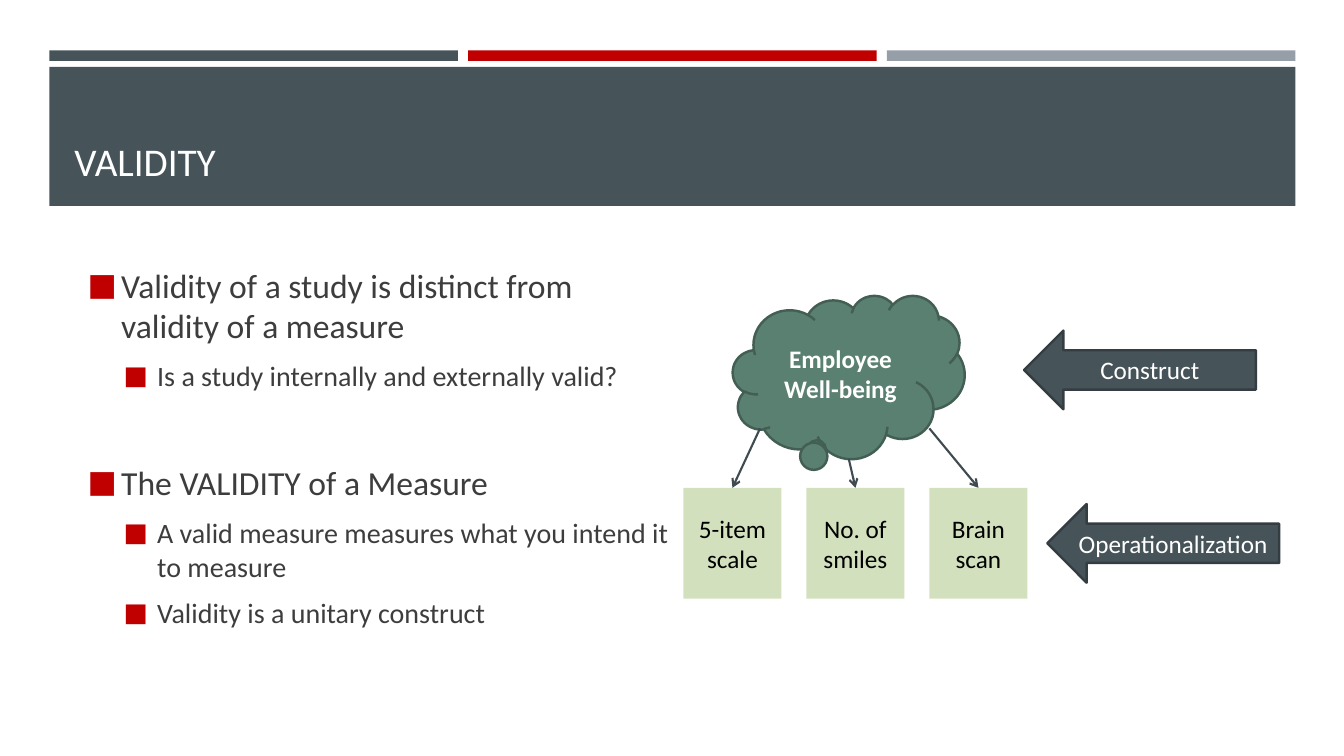
from typing import NamedTuple

from lxml import etree
from pptx import Presentation
from pptx.dml.color import RGBColor
from pptx.enum.shapes import MSO_CONNECTOR, MSO_SHAPE
from pptx.enum.text import MSO_ANCHOR, PP_ALIGN
from pptx.oxml.ns import qn
from pptx.util import Inches, Pt

RECT, CLOUD, LEFT_ARROW = MSO_SHAPE.RECTANGLE, MSO_SHAPE.CLOUD_CALLOUT, MSO_SHAPE.LEFT_ARROW
STRAIGHT = MSO_CONNECTOR.STRAIGHT
CENTER, LEFT = PP_ALIGN.CENTER, PP_ALIGN.LEFT
MIDDLE, BOTTOM = MSO_ANCHOR.MIDDLE, MSO_ANCHOR.BOTTOM

FONT = "Calibri"
SLATE, RED, GREY = "465359", "C00000", "969FA7"
WHITE, BLACK, BODY_TEXT = "FFFFFF", "000000", "3D3D3D"
GREEN, GREEN_EDGE, PALE_GREEN = "5A8071", "435F54", "A9C37C"
ARROW_EDGE, LINK = "343D42", "3F4B50"

prs = Presentation()
prs.slide_width, prs.slide_height = Inches(13.333), Inches(7.5)
slide = prs.slides.add_slide(prs.slide_layouts[6])


class Box(NamedTuple):
    """Left, top, width and height in percent of the slide."""
    x: float
    y: float
    w: float
    h: float


class Block(NamedTuple):
    kind: int
    box: Box
    fill: str
    text: str = ""
    color: str = WHITE
    bold: bool = False
    edge: str = ""
    alpha: int = 100


class Bullet(NamedTuple):
    text: str
    level: int = 0
    before: float = 3.4


class Link(NamedTuple):
    x: float
    y: float


def px(share: float) -> int:
    return round(prs.slide_width * share / 100)


def py(share: float) -> int:
    return round(prs.slide_height * share / 100)


def place(box: Box) -> tuple[int, int, int, int]:
    return px(box.x), py(box.y), px(box.w), py(box.h)


def rgb(color: str) -> RGBColor:
    return RGBColor.from_string(color)


def style(p, size: float, color: str, bold: bool = False, align=LEFT) -> None:
    p.alignment = align
    for r in p.runs:
        r.font.name, r.font.size, r.font.bold = FONT, Pt(size), bold
        r.font.color.rgb = rgb(color)


def add_block(block: Block):
    sp = slide.shapes.add_shape(block.kind, *place(block.box))
    sp.shadow.inherit = False
    sp.fill.solid()
    sp.fill.fore_color.rgb = rgb(block.fill)
    if block.alpha < 100:
        color = sp.fill._xPr.find(f"{qn('a:solidFill')}/{qn('a:srgbClr')}")
        etree.SubElement(color, qn("a:alpha"), val=str(block.alpha * 1000))
    if block.edge:
        sp.line.color.rgb = rgb(block.edge)
        sp.line.width = Pt(1.75)
    else:
        sp.line.fill.background()
    if block.text:
        tf = sp.text_frame
        tf.text = block.text
        tf.vertical_anchor = MIDDLE
        style(tf.paragraphs[0], 18, block.color, block.bold, CENTER)
    return sp


def add_text_frame(box: Box, anchor):
    tf = slide.shapes.add_textbox(*place(box)).text_frame
    tf.word_wrap = True
    tf.vertical_anchor = anchor
    return tf


def add_bullets(box: Box, bullets: list[Bullet]) -> None:
    tf = add_text_frame(box, MIDDLE)
    tf.text = "\n".join(b.text for b in bullets)
    for p, b in zip(tf.paragraphs, bullets):
        style(p, 24 - 4 * b.level, BODY_TEXT)
        p.level = b.level
        p.space_before, p.space_after = Pt(b.before), Pt(6)
        pPr = p._p.get_or_add_pPr()
        pPr.set("marL", str(px(2.5 + 2.68 * b.level)))
        pPr.set("indent", str(-px(2.5)))
        bu_color = etree.SubElement(pPr, qn("a:buClr"))
        etree.SubElement(bu_color, qn("a:srgbClr"), val=RED)
        etree.SubElement(pPr, qn("a:buSzPct"), val="92000")
        etree.SubElement(pPr, qn("a:buFont"), typeface=FONT)
        etree.SubElement(pPr, qn("a:buChar"), char="■")


def add_arrow(start: Link, end: Link) -> None:
    line = slide.shapes.add_connector(STRAIGHT, px(start.x), py(start.y), px(end.x), py(end.y))
    line.line.color.rgb = rgb(LINK)
    line.line.width = Pt(1.5)
    etree.SubElement(line.line._get_or_add_ln(), qn("a:tailEnd"), type="arrow")
    etree.SubElement(line._element.spPr, qn("a:effectLst"))


MARGIN = 3.68
for i, color in enumerate([SLATE, RED, GREY]):
    add_block(Block(RECT, Box(MARGIN + 31.15 * i, 6.67, 30.4, 1.4), color))
add_block(Block(RECT, Box(MARGIN, 8.85, 92.7, 18.4), SLATE))

title = add_text_frame(Box(4.8, 10.67, 90.45, 14.4), BOTTOM)
title.text = "VALIDITY"
style(title.paragraphs[0], 28, WHITE)

add_bullets(Box(5.78, 32.67, 45.08, 52.93), [
    Bullet("Validity of a study is distinct from validity of a measure"),
    Bullet("Is a study internally and externally valid?", 1),
    Bullet("The VALIDITY of a Measure", before=44),
    Bullet("A valid measure measures what you intend it to measure", 1),
    Bullet("Validity is a unitary construct", 1),
])

cloud = add_block(Block(CLOUD, Box(54.53, 39.07, 17.25, 21.6), GREEN,
                        "Employee Well-being", bold=True, edge=GREEN_EDGE))
cloud.adjustments[0], cloud.adjustments[1] = -0.14, 0.45

MEASURE = Box(50.85, 64.53, 7.3, 14.67)
measures = {
    "5-item scale": Link(56.55, 56.67),
    "No. of smiles": Link(63.15, 60.67),
    "Brain scan": Link(69.15, 56.67),
}
for i, (label, start) in enumerate(measures.items()):
    box = MEASURE._replace(x=MEASURE.x + 9.15 * i)
    add_block(Block(RECT, box, PALE_GREEN, label, BLACK, alpha=50))
    add_arrow(start, Link(box.x + box.w / 2, box.y))

for label, x, y in [("Construct", 76.2, 43.73), ("Operationalization", 77.93, 66.67)]:
    add_block(Block(LEFT_ARROW, Box(x, y, 17.25, 10.4), SLATE, label, edge=ARROW_EDGE))

prs.save("out.pptx")
